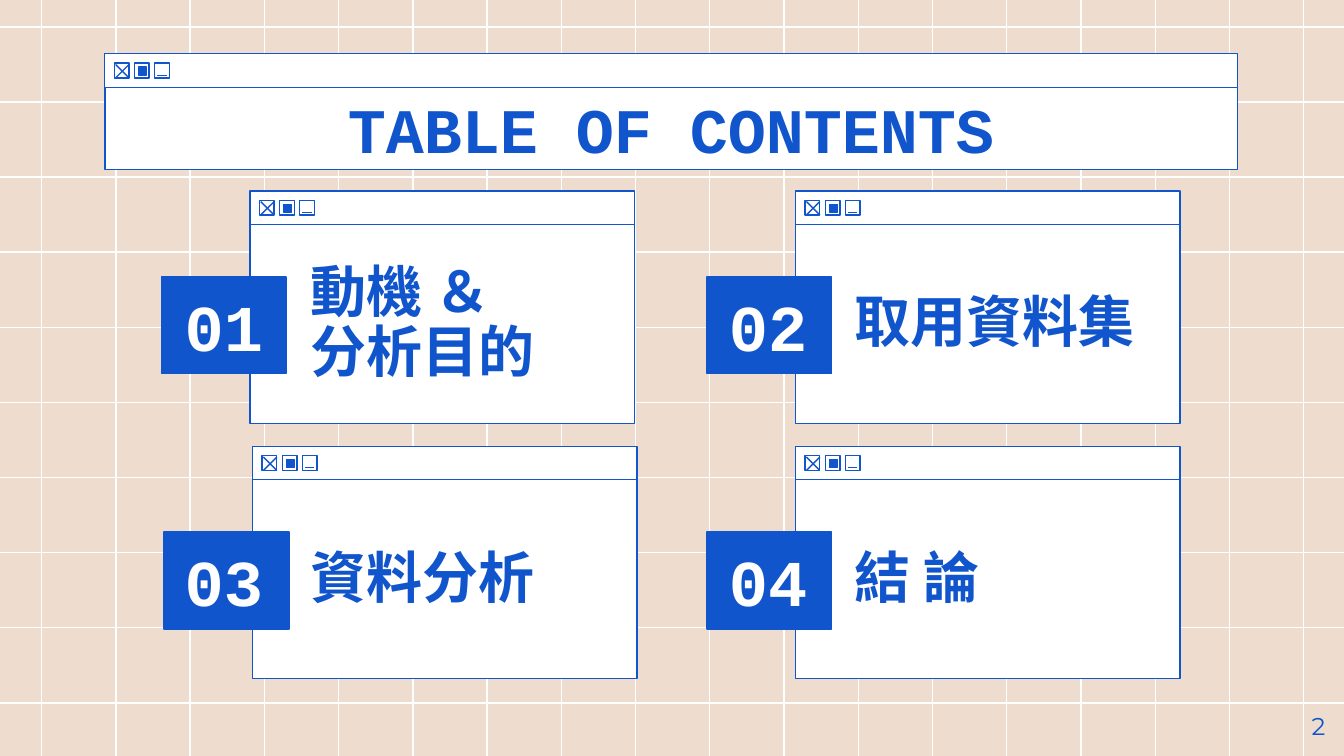
"""Build a table of contents slide with four numbered windows on a grid."""
import pptx
import pptx.util
import pptx.dml.color
import pptx.enum.shapes
import pptx.enum.text
import pptx.oxml

Inches, Pt = pptx.util.Inches, pptx.util.Pt
RGB = pptx.dml.color.RGBColor.from_string
ALIGN = pptx.enum.text.PP_ALIGN
ANCHOR = pptx.enum.text.MSO_ANCHOR
COLORS = {"sand": "EEDCCE", "white": "FFFFFF", "blue": "1155CC"}
NO_EFFECTS = '<a:effectLst xmlns:a="http://schemas.openxmlformats.org/drawingml/2006/main"/>'

prs = pptx.Presentation()
prs.slide_width, prs.slide_height = Inches(10), Inches(10 * 9 / 16)
s = prs.slides.add_slide(prs.slide_layouts[5])
s.background.fill.solid()
s.background.fill.fore_color.rgb = RGB(COLORS["sand"])


def add_box(x, y, w, h, fill=None):
    sp = s.shapes.add_shape(pptx.enum.shapes.MSO_SHAPE.RECTANGLE,
                            Inches(x), Inches(y), Inches(w), Inches(h))
    sp.shadow.inherit = False
    if fill:
        sp.fill.solid()
        sp.fill.fore_color.rgb = RGB(COLORS[fill])
    else:
        sp.fill.background()
    sp.line.color.rgb = RGB(COLORS["blue"])
    sp.line.width = Pt(0.75)


def add_line(x1, y1, x2, y2, color="blue"):
    cn = s.shapes.add_connector(pptx.enum.shapes.MSO_CONNECTOR.STRAIGHT,
                                Inches(x1), Inches(y1), Inches(x2), Inches(y2))
    cn.line.color.rgb = RGB(COLORS[color])
    cn.line.width = Pt(0.75)
    cn._element.spPr.append(pptx.oxml.parse_xml(NO_EFFECTS))


for i in range(18):
    x = 0.31 + i * 9.39 / 17
    add_line(x, -0.01, x, 5.63, "white")
for i in range(10):
    y = 0.2 + i * 5.03 / 9
    add_line(10, y, 0, y, "white")

title = s.shapes.title
title.left, title.top, title.width, title.height = Inches(0.78), Inches(0.65), Inches(8.43), Inches(0.61)
title.fill.solid()
title.fill.fore_color.rgb = RGB(COLORS["white"])
title.line.color.rgb = RGB(COLORS["blue"])
title.line.width = Pt(0.75)
tf = title.text_frame
tf.text = "TABLE OF CONTENTS"
tf.auto_size = pptx.enum.text.MSO_AUTO_SIZE.NONE
tf.vertical_anchor = ANCHOR.MIDDLE
tf.margin_left = tf.margin_right = tf.margin_top = tf.margin_bottom = Inches(0.1)
p = tf.paragraphs[0]
p.alignment = ALIGN.CENTER
p.font.name, p.font.size, p.font.bold = "Courier New", Pt(34), True
p.font.color.rgb = RGB(COLORS["blue"])
s.shapes._spTree.append(title._element)

sections = [
    ("01", ["動機 ＆", "分析目的"], 1.86, 1.42, 1.22, 2.09),
    ("02", ["取用資料集"], 5.92, 1.42, 5.27, 2.52),
    ("03", ["資料分析"], 1.88, 3.32, 1.22, 2.09),
    ("04", ["結 論"], 5.92, 3.32, 5.27, 2.09),
]
windows = [(0.78, 0.4, 8.43, 0)] + [(x, y, 2.86, 1.48) for _, _, x, y, _, _ in sections]
for x, y, w, body in windows:
    if body:
        add_box(x, y + 0.25, w, body, "white")
    add_box(x, y, w, 0.25, "white")
    for i in range(3):
        add_box(x + 0.07 + i * 0.15, y + 0.07, 0.11, 0.11)
    add_line(x + 0.08, y + 0.08, x + 0.18, y + 0.18)
    add_line(x + 0.18, y + 0.08, x + 0.08, y + 0.18)
    add_box(x + 0.25, y + 0.1, 0.06, 0.06, "blue")
    add_line(x + 0.39, y + 0.16, x + 0.46, y + 0.16)

texts = [(["2"], 9.36, 5.19, 0.6, 0.43, "Montserrat", 13, "blue", ALIGN.RIGHT, 1)]
for number, label, x, y, number_x, label_w in sections:
    add_box(x - 0.66, y + 0.64, 0.93, 0.72, "blue")
    texts += [
        (label, number_x + 0.99, y + 0.64, label_w, 0.71, "Courier New", 30, "blue", ALIGN.LEFT, 0.9),
        ([number], number_x, y + 0.76, 0.89, 0.48, "Courier New", 35, "white", ALIGN.CENTER, 1),
    ]

for lines, x, y, w, h, font, size, color, align, spacing in texts:
    tf = s.shapes.add_textbox(Inches(x), Inches(y), Inches(w), Inches(h)).text_frame
    tf.word_wrap = True
    tf.vertical_anchor = ANCHOR.TOP if font == "Montserrat" else ANCHOR.MIDDLE
    tf.margin_left = tf.margin_right = tf.margin_top = tf.margin_bottom = Inches(0.1)
    tf.text = "\n".join(lines)
    for p in tf.paragraphs:
        p.alignment, p.line_spacing = align, spacing
        p.font.name, p.font.size, p.font.bold = font, Pt(size), font == "Courier New"
        p.font.color.rgb = RGB(COLORS[color])

prs.save("out.pptx")
